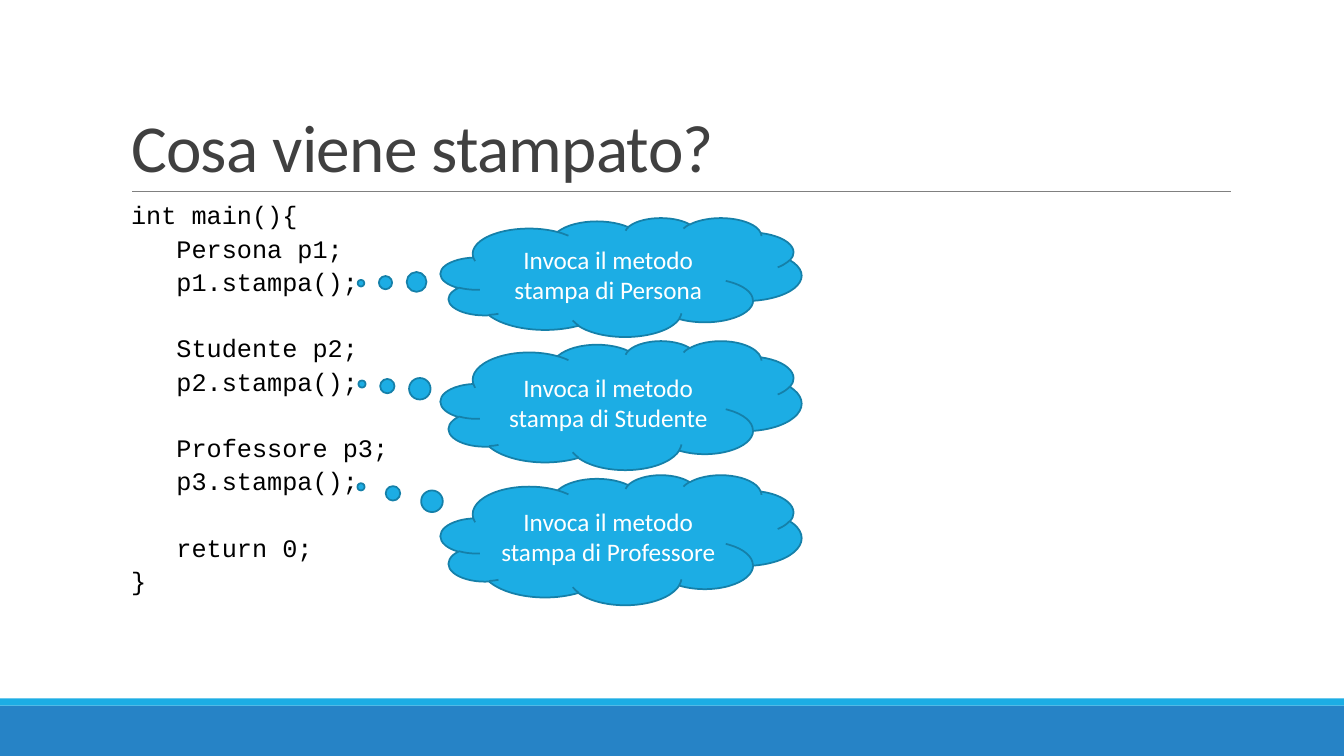
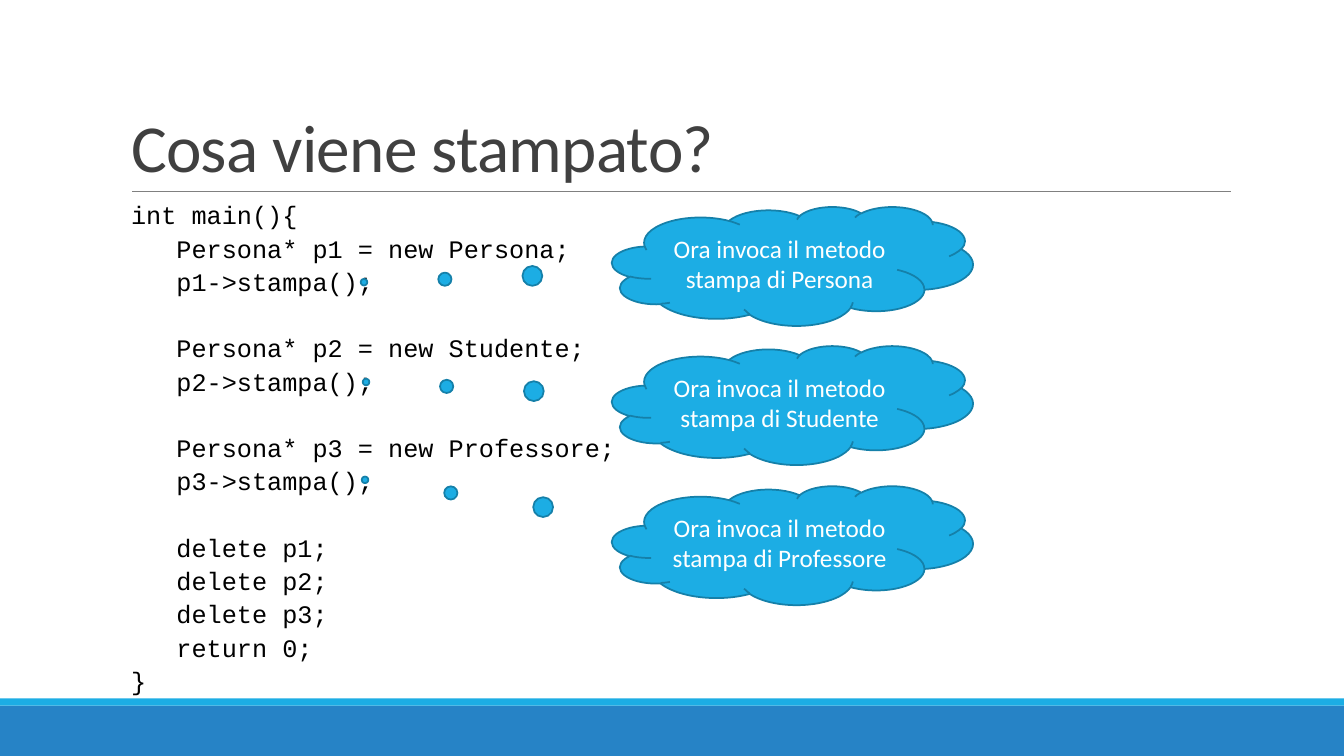
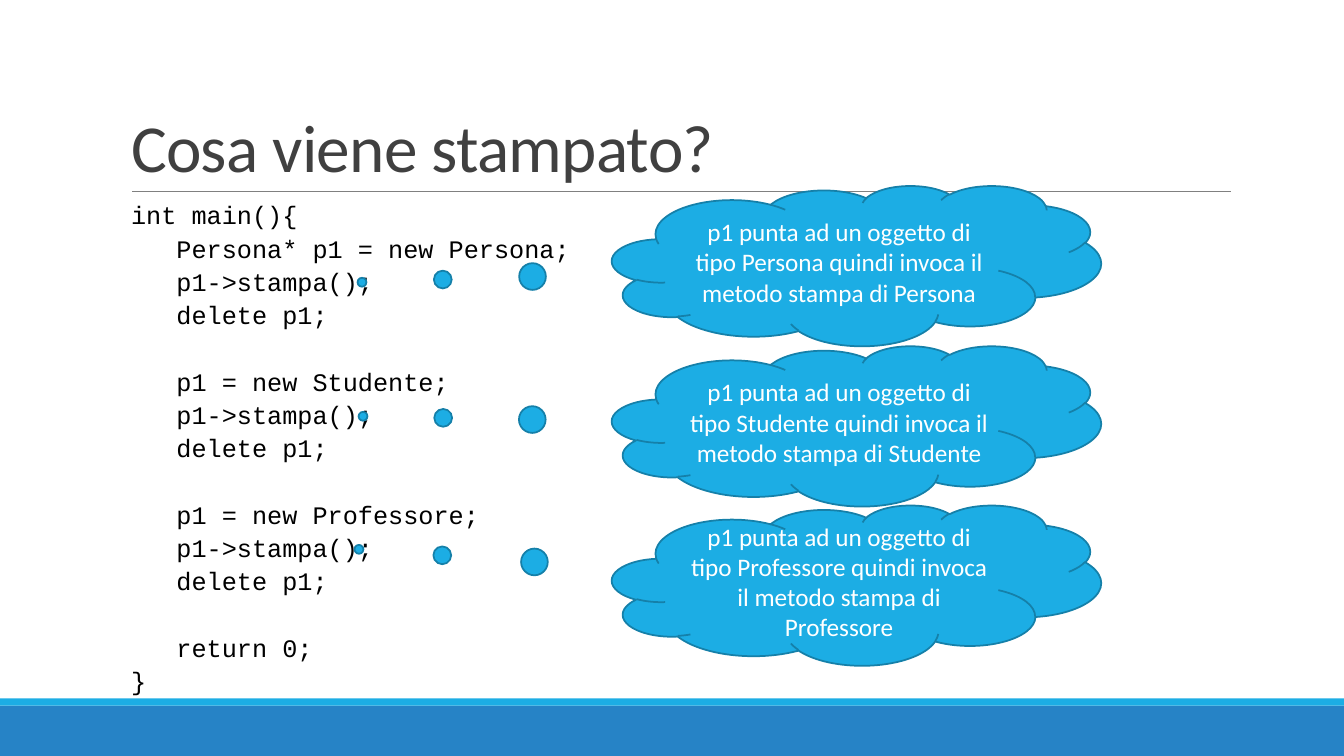
"""Three slides on which stampa method a C++ program calls."""
from pptx import Presentation
from pptx.dml.color import RGBColor
from pptx.enum.shapes import MSO_CONNECTOR, MSO_SHAPE
from pptx.enum.text import MSO_ANCHOR, MSO_AUTO_SIZE, PP_ALIGN
from pptx.oxml.ns import qn
from pptx.util import Inches, Pt
from lxml.etree import SubElement

WHITE = RGBColor(0xFF, 0xFF, 0xFF)
BLACK = RGBColor(0, 0, 0)
DARK = RGBColor(0x40, 0x40, 0x40)
GRAY = RGBColor(0x80, 0x80, 0x80)
BLUE = RGBColor(0x26, 0x83, 0xC6)
SKY = RGBColor(0x1C, 0xAD, 0xE4)
SKY_EDGE = RGBColor(0x15, 0x80, 0xA9)

TITLE = "Cosa viene stampato?"
OPENING, CLOSING = "int main(){", "}"
PEOPLE = ["Persona", "Studente", "Professore"]
SHORT_NOTE = "nvoca il metodo stampa di {0}"
LONG_NOTE = "p1 punta ad un oggetto di tipo {0} quindi invoca il metodo stampa di {0}"

SLIDES = [
    {
        "code": [
            [OPENING, "Persona p1;", "p1.stampa();"],
            ["Studente p2;", "p2.stampa();"],
            ["Professore p3;", "p3.stampa();"],
            ["return 0;", CLOSING],
        ],
        "code_height": 4.1,
        "note": "I" + SHORT_NOTE,
        "column": (4.37, 3.58),
        "rows": [(2.16, 1.18), (3.38, 1.28), (4.71, 1.29)],
        "tips": [(3.58, 2.81), (3.59, 3.81), (3.58, 4.83)],
    },
    {
        "code": [
            [OPENING, "Persona* p1 = new Persona;", "p1->stampa();"],
            ["Persona* p2 = new Studente;", "p2->stampa();"],
            ["Persona* p3 = new Professore;", "p3->stampa();"],
            ["delete p1;", "delete p2;", "delete p3;", "return 0;", CLOSING],
        ],
        "code_height": 5.1,
        "note": "Ora i" + SHORT_NOTE,
        "column": (6.07, 3.58),
        "rows": [(2.05, 1.18), (3.43, 1.18), (4.82, 1.18)],
        "tips": [(3.61, 2.8), (3.63, 3.79), (3.62, 4.76)],
    },
    {
        "code": [
            [OPENING, "Persona* p1 = new Persona;", "p1->stampa();", "delete p1;"],
            ["p1 = new Studente;", "p1->stampa();", "delete p1;"],
            ["p1 = new Professore;", "p1->stampa();", "delete p1;"],
            ["return 0;", CLOSING],
        ],
        "code_height": 5.1,
        "note": LONG_NOTE,
        "column": (6.07, 4.85),
        "rows": [(1.84, 1.59), (3.43, 1.59), (5.01, 1.59)],
        "tips": [(3.59, 2.8), (3.6, 4.13), (3.56, 5.45)],
    },
]

WIDTH, HEIGHT = 13.33, 7.5
LEFT, TEXT_WIDTH, RULE_TOP = 1.2, 11, 1.9
TITLE_TOP = 0.31
BANDS = [(7, 0.5, BLUE), (6.93, 0.07, SKY)]
CODE_SIZE, LINE_SPACING = 18, 1.1
LINE_PITCH = 23.75
CODE_INDENT = round(3 * 0.6 * CODE_SIZE, 1)


def place(shape, left, top, width, height):
    shape.left, shape.top = Inches(left), Inches(top)
    shape.width, shape.height = Inches(width), Inches(height)


def style(paragraph, font_name, size, color):
    for span in paragraph.runs:
        span.font.name, span.font.size = font_name, Pt(size)
        span.font.color.rgb = color


def add_solid(page, kind, area, fill):
    shape = page.shapes.add_shape(kind, *map(Inches, area))
    shape.shadow.inherit = False
    shape.fill.solid()
    shape.fill.fore_color.rgb = fill
    return shape


def decorate_layout(layout, page):
    decorations = []
    for top, height, color in BANDS:
        band = add_solid(page, MSO_SHAPE.RECTANGLE, (0, top, WIDTH, height), color)
        band.line.fill.background()
        decorations.append(band)
    rule = page.shapes.add_connector(
        MSO_CONNECTOR.STRAIGHT, Inches(1.31), Inches(RULE_TOP), Inches(12.21), Inches(RULE_TOP)
    )
    rule.line.color.rgb, rule.line.width = GRAY, Pt(0.5)
    SubElement(rule.element.spPr, qn("a:effectLst"))
    for shape in decorations + [rule]:
        layout.shapes.element.append(shape.element)


def write_title(box):
    place(box, LEFT, TITLE_TOP, TEXT_WIDTH, RULE_TOP - TITLE_TOP)
    frame = box.text_frame
    frame.text = TITLE
    frame.auto_size = MSO_AUTO_SIZE.NONE
    frame.vertical_anchor = MSO_ANCHOR.BOTTOM
    paragraph = frame.paragraphs[0]
    paragraph.alignment, paragraph.line_spacing = PP_ALIGN.LEFT, 0.85
    style(paragraph, "Calibri", 48, DARK)
    paragraph.runs[0].font._element.set("spc", "-50")


def write_code(box, groups, height):
    place(box, LEFT, RULE_TOP, TEXT_WIDTH, height)
    frame = box.text_frame
    frame.text = "\n".join(line for group in groups for line in group)
    frame.auto_size = MSO_AUTO_SIZE.NONE
    frame.vertical_anchor = MSO_ANCHOR.TOP
    group_starts = [sum(map(len, groups[:index])) for index in range(1, len(groups))]
    for index, paragraph in enumerate(frame.paragraphs):
        paragraph.line_spacing = LINE_SPACING
        paragraph.space_before = Pt(LINE_PITCH if index in group_starts else 0)
        paragraph.space_after = Pt(0)
        style(paragraph, "Courier New", CODE_SIZE, BLACK)
        indent = 0 if paragraph.text in (OPENING, CLOSING) else CODE_INDENT
        properties = paragraph._p.get_or_add_pPr()
        properties.set("marL", str(int(Pt(indent))))
        properties.set("indent", "0")
        SubElement(properties, qn("a:buNone"))


def add_cloud(page, area, tip, text):
    left, top, width, height = area
    cloud = add_solid(page, MSO_SHAPE.CLOUD_CALLOUT, area, SKY)
    cloud.line.color.rgb, cloud.line.width = SKY_EDGE, Pt(1.25)
    cloud.adjustments[0] = (tip[0] - left) / width - 0.5
    cloud.adjustments[1] = (tip[1] - top) / height - 0.5
    frame = cloud.text_frame
    frame.text = text
    frame.word_wrap = True
    frame.vertical_anchor = MSO_ANCHOR.MIDDLE
    frame.paragraphs[0].alignment = PP_ALIGN.CENTER
    style(frame.paragraphs[0], "Calibri", 18, WHITE)


def build():
    deck = Presentation()
    deck.slide_width, deck.slide_height = Inches(WIDTH), Inches(HEIGHT)
    layout = deck.slide_layouts.get_by_name("Title and Content")
    for content in SLIDES:
        page = deck.slides.add_slide(layout)
        if len(deck.slides) == 1:
            decorate_layout(layout, page)
        write_title(page.shapes.title)
        write_code(page.placeholders[1], content["code"], content["code_height"])
        left, width = content["column"]
        for person, (top, height), tip in zip(PEOPLE, content["rows"], content["tips"]):
            add_cloud(page, (left, top, width, height), tip, content["note"].format(person))
    deck.save("out.pptx")


build()
